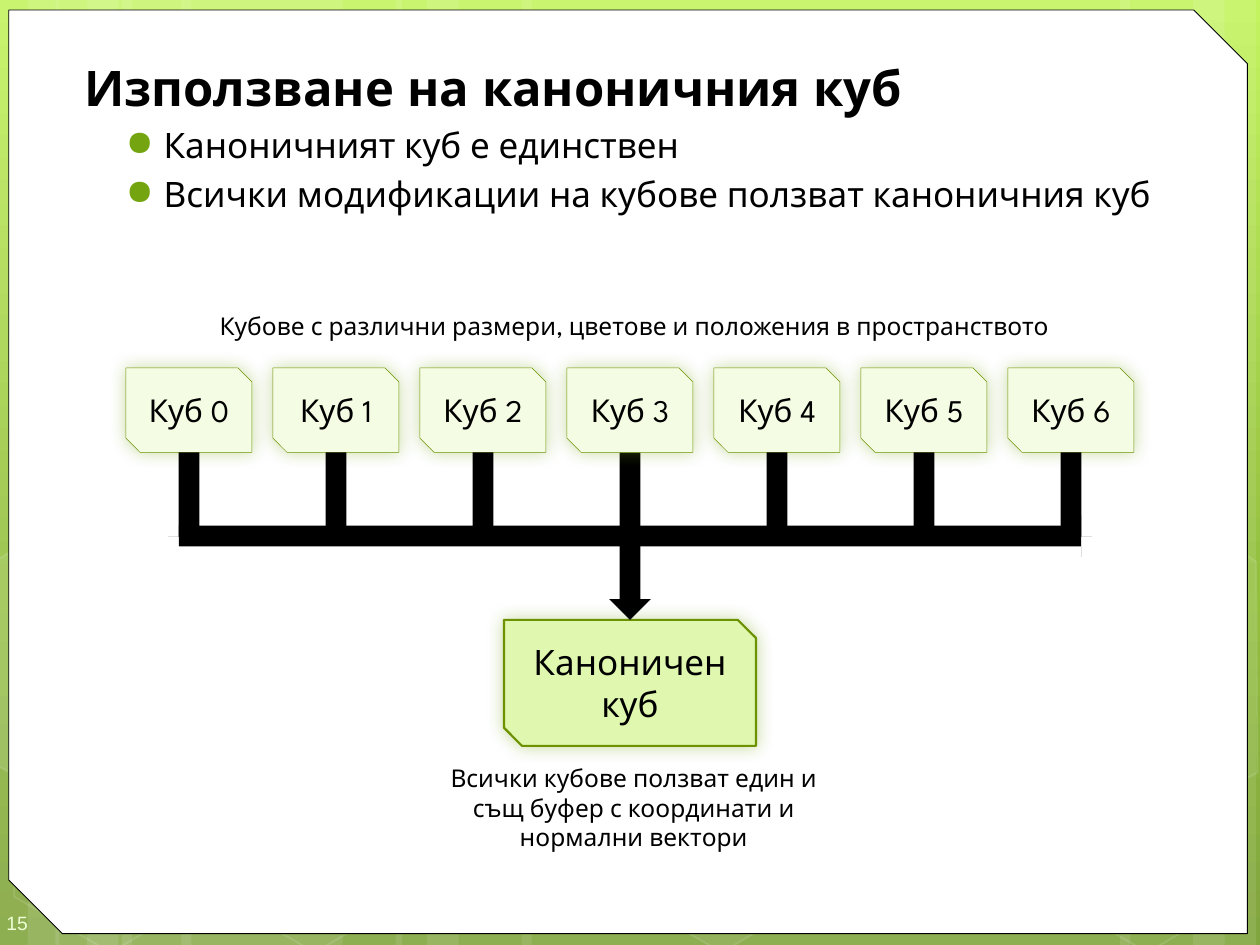
from copy import deepcopy

from lxml.etree import SubElement
from pptx import Presentation
from pptx.dml.color import RGBColor
from pptx.enum.shapes import MSO_SHAPE as SHAPE
from pptx.enum.text import MSO_ANCHOR as ANCHOR, PP_ALIGN as ALIGN
from pptx.oxml.ns import qn
from pptx.util import Inches, Pt

COLORS = {
    "top": "C3F35F", "middle": "93BF3F", "bottom": "81A53E",
    "white": "FFFFFF", "black": "000000", "number": "EEFFD6",
    "bullet": "74A510", "border": "6D9200",
    "cube": "F4FCE4", "canonical": "DFF7AE",
}
FONT = "League Spartan"


def rgb(name):
    return RGBColor.from_string(COLORS[name])


def set_alpha(fill, percent):
    color = fill._xPr.find(qn("a:solidFill"))[0]
    SubElement(color, qn("a:alpha"), val=str(percent * 1000))


def style(sp, fill=None, line=None, width=1, alpha=None, line_alpha=None):
    sp.shadow.inherit = False
    if fill:
        sp.fill.solid()
        sp.fill.fore_color.rgb = rgb(fill)
        if alpha:
            set_alpha(sp.fill, alpha)
    else:
        sp.fill.background()
    if line:
        sp.line.color.rgb = rgb(line)
        sp.line.width = Pt(width)
        if line_alpha:
            set_alpha(sp.line.fill, line_alpha)
    else:
        sp.line.fill.background()


def add_box(s, kind, box, rotation=0, adj=(), **look):
    sp = s.shapes.add_shape(kind, *map(Inches, box))
    sp.rotation = rotation
    for i, value in enumerate(adj):
        sp.adjustments[i] = value
    style(sp, **look)
    return sp


def add_glow(sp):
    effects = sp._element.spPr.find(qn("a:effectLst"))
    shadow = SubElement(effects, qn("a:outerShdw"), blurRad=str(Pt(10)),
                        dist="0", dir="2700000", rotWithShape="0")
    color = SubElement(shadow, qn("a:srgbClr"), val=COLORS["bullet"])
    SubElement(color, qn("a:alpha"), val="40000")


def add_run(p, text, size, color="black", bold=False, font=FONT):
    r = p.add_run()
    r.text = text
    r.font.name = font
    r.font.size = Pt(size)
    r.font.bold = bold
    r.font.color.rgb = rgb(color)


def set_indent(p, left, first=0):
    pPr = p._p.get_or_add_pPr()
    pPr.set("marL", str(Inches(left)))
    pPr.set("indent", str(Inches(first)))
    return pPr


def add_text_box(s, box):
    tf = s.shapes.add_textbox(*map(Inches, box)).text_frame
    tf.word_wrap = True
    return tf


def add_background(s):
    fill = s.background.fill
    fill.gradient()
    fill.gradient_angle = 270
    stops = s._element.find(".//" + qn("a:gsLst"))
    stops.insert(1, deepcopy(stops[0]))
    for stop, (name, position) in zip(
            fill.gradient_stops, [("top", 0), ("middle", 0.62), ("bottom", 1)]):
        stop.color.rgb = rgb(name)
        stop.position = position

    strips = [(0.97, 1.75), (-0.03, 0.5), (0.22, 0.83), (1.44, 1.75),
              (0.44, 0.5), (0.69, 0.83), (7.22, 1.75), (9.47, 0.5),
              (8.89, 0.83), (4.14, 3.08), (3.14, 0.5), (3.39, 0.83)]
    for left, width in strips:
        add_box(s, SHAPE.RECTANGLE, (left, 0, width, 7.5), fill="white", alpha=10)

    for left, fill, alpha in [(0, None, None), (1.62, None, None),
                              (4.85, "white", 6), (8.23, None, None)]:
        add_box(s, SHAPE.HEXAGON, (left, 5.92, 1.75, 1.52), 30, (0.285,),
                fill=fill, alpha=alpha, line="white", line_alpha=12)

    edges = [
        ([(-0.03, 4.45), (0.08, 4.38), (0.85, 4.82), (0.84, 5.7),
          (0.09, 6.14), (-0.03, 6.07)], 10),
        ([(9.15, 4.85), (9.9, 4.41), (9.97, 4.46), (9.98, 6.13),
          (9.91, 6.17), (9.14, 5.73)], 4),
    ]
    for points, alpha in edges:
        start, *rest = [(Inches(x), Inches(y)) for x, y in points]
        builder = s.shapes.build_freeform(*start)
        builder.add_line_segments(rest, close=True)
        style(builder.convert_to_shape(), fill="white", alpha=alpha,
              line="white", line_alpha=12)


def add_panel(s, box):
    add_box(s, SHAPE.SNIP_2_DIAG_RECTANGLE, box, adj=(0, 0.058),
            fill="white", line="black", width=0.5)


def add_number(s, box, number):
    tf = add_text_box(s, box)
    tf.vertical_anchor = ANCHOR.MIDDLE
    tf.margin_left, tf.margin_top = Inches(0.05), Inches(0.15)
    tf.margin_right, tf.margin_bottom = 0, Inches(0.1)
    add_run(tf.paragraphs[0], number, 11, "number", font="Arial")


def add_body(s, box, title, bullets):
    tf = add_text_box(s, box)
    p = tf.paragraphs[0]
    set_indent(p, 0.07)
    add_run(p, title, 28, bold=True)
    for text in bullets:
        p = tf.add_paragraph()
        p.space_before = Pt(4)
        pPr = set_indent(p, 0.7, -0.3)
        color = SubElement(pPr, qn("a:buClr"))
        SubElement(color, qn("a:srgbClr"), val=COLORS["bullet"])
        SubElement(pPr, qn("a:buChar"), char="●")
        add_run(p, text, 20)


def add_cube(s, box, lines, size, adj=(), **look):
    sp = add_box(s, SHAPE.SNIP_2_DIAG_RECTANGLE, box, adj=adj, line="border", **look)
    add_glow(sp)
    tf = sp.text_frame
    tf.word_wrap = True
    tf.vertical_anchor = ANCHOR.MIDDLE
    tf.margin_left = tf.margin_right = 0
    for i, text in enumerate(lines):
        p = tf.add_paragraph() if i else tf.paragraphs[0]
        p.alignment = ALIGN.CENTER
        add_run(p, text, size)


def add_caption(s, box, text):
    p = add_text_box(s, box).paragraphs[0]
    p.alignment = ALIGN.CENTER
    set_indent(p, 0.07)
    add_run(p, text, 14)


def add_diagram(s, box, count=7):
    left, top, width, height = box
    cube_w, cube_h, thick = 1, 0.67, 0.33
    step = (width - cube_w) / (count - 1)
    center = left + width / 2
    middle = count // 2

    add_cube(s, (center - 1, top + height - 1, 2, 1), ["Каноничен", "куб"], 20,
             (0, 0.144), fill="canonical", width=1.25)
    length = height - 1 - cube_h
    add_box(s, SHAPE.RIGHT_ARROW,
            (center - length / 2, top + cube_h + (length - thick) / 2, length, thick),
            90, fill="black")
    for i in range(count):
        x = left + i * step
        add_cube(s, (x, top, cube_w, cube_h), [f"Куб {i}"], 18,
                 fill="cube", width=0.25)
        if i != middle:
            add_box(s, SHAPE.RIGHT_ARROW,
                    (x + (cube_w - cube_h) / 2, top + 0.84, cube_h, thick),
                    90, (0.5, 0), fill="black")
    add_box(s, SHAPE.RIGHT_ARROW,
            (left + 0.42, top + 1.17, width - 0.84, thick),
            adj=(0.5, 0), fill="black")


def main():
    prs = Presentation()
    prs.slide_width, prs.slide_height = Inches(10), Inches(7.5)
    s = prs.slides.add_slide(prs.slide_layouts[6])
    add_background(s)
    add_panel(s, (0.07, 0.08, 9.83, 7.33))
    add_number(s, (0, 7.1, 0.58, 0.4), "15")
    add_body(s, (0.5, 0.41, 9.42, 7.01), "Използване на каноничния куб",
             ["Каноничният куб е единствен",
              "Всички модификации на кубове ползват каноничния куб"])
    add_diagram(s, (1, 2.92, 8, 3))
    add_caption(s, (3.33, 6.01, 3.33, 0.81),
                "Всички кубове ползват един и същ буфер с координати и нормални вектори")
    add_caption(s, (1, 2.42, 8, 0.34),
                "Кубове с различни размери, цветове и положения в пространството")
    prs.save("out.pptx")


if __name__ == "__main__":
    main()
